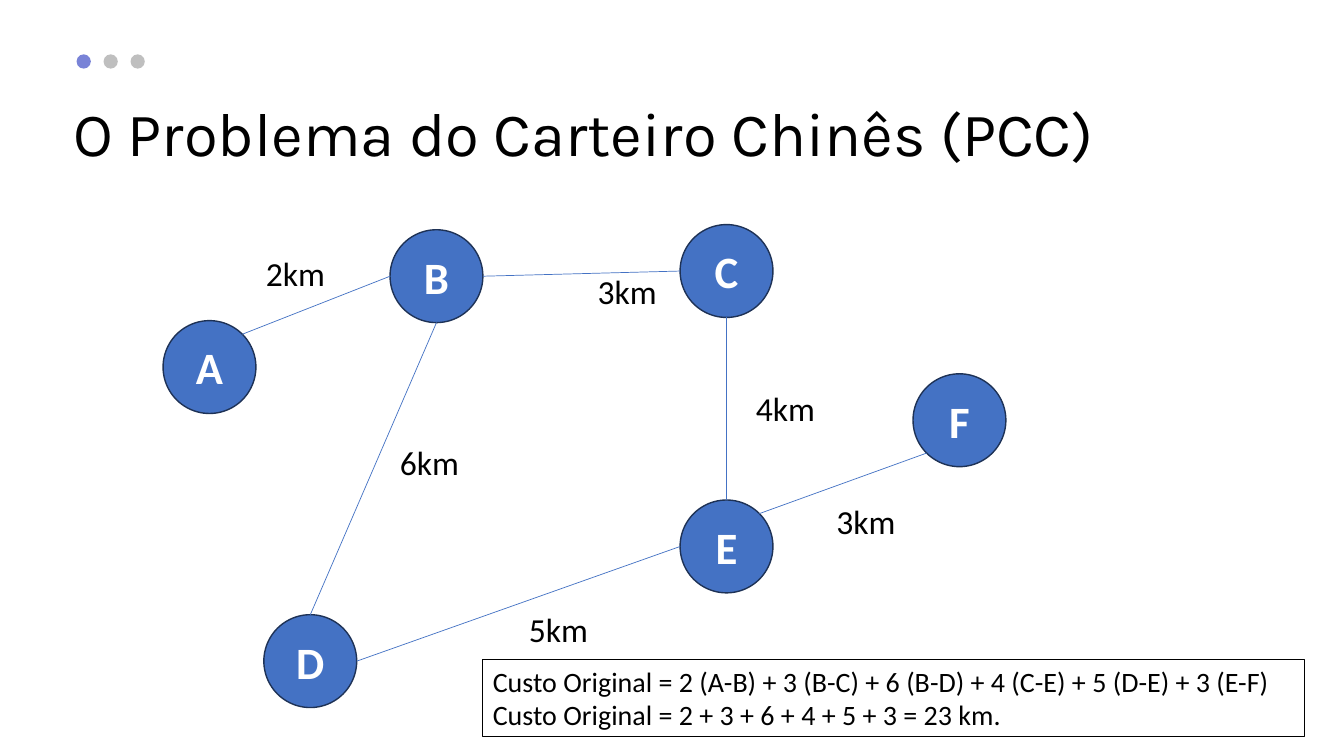
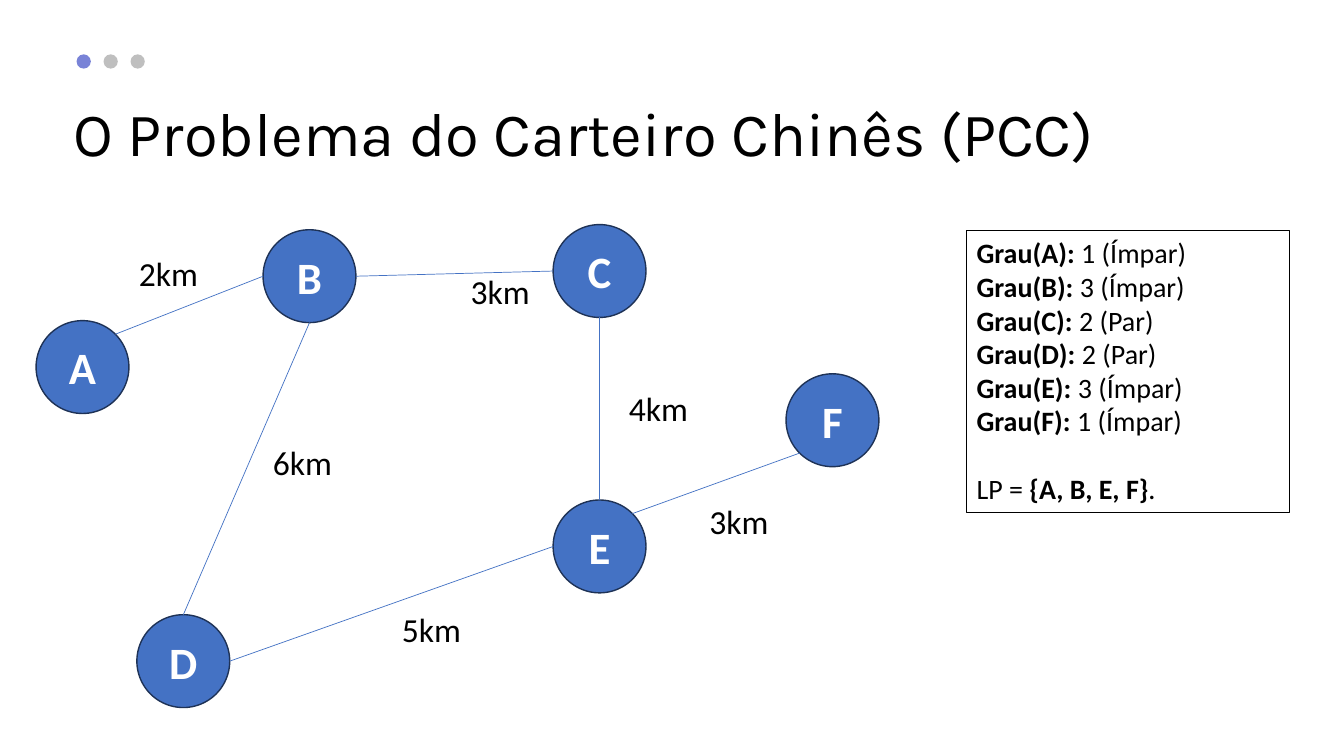
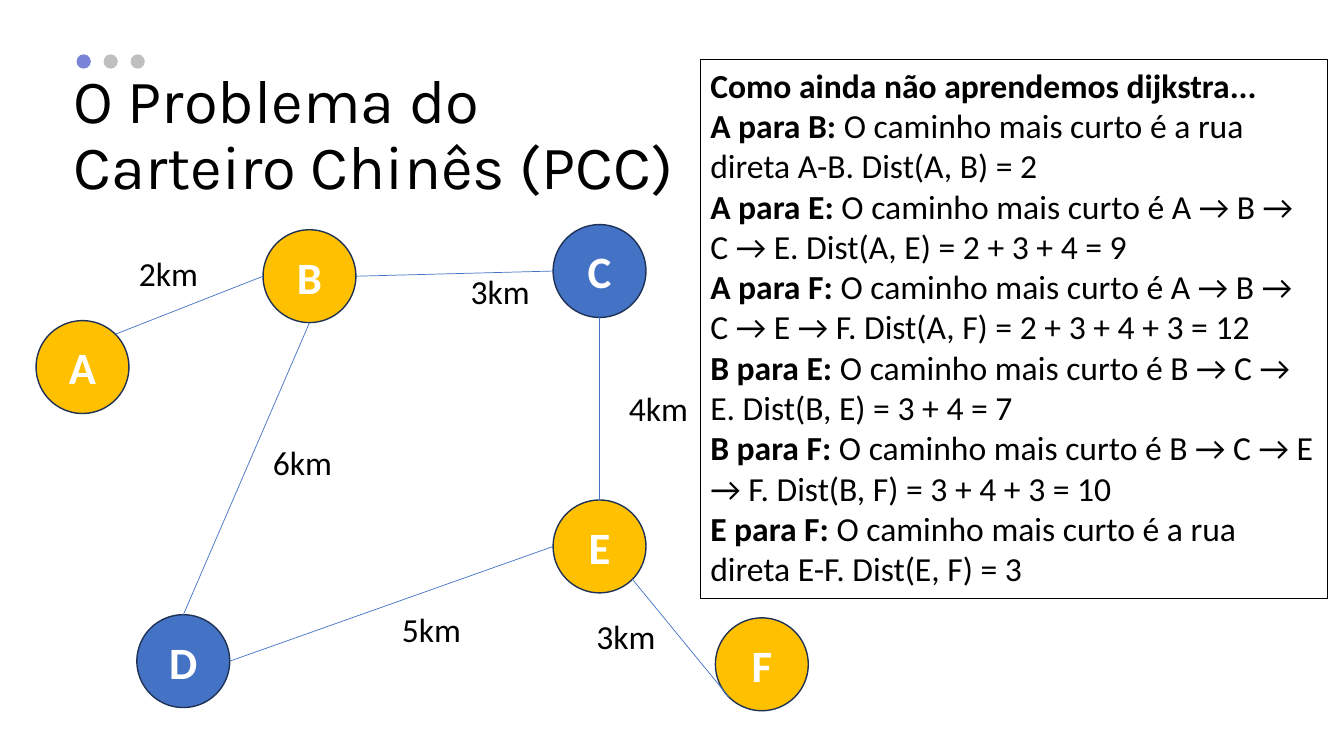
from dataclasses import dataclass
from math import cos, radians, sin

from lxml.etree import SubElement
from pptx import Presentation
from pptx.dml.color import RGBColor
from pptx.enum.shapes import MSO_CONNECTOR, MSO_SHAPE
from pptx.enum.text import MSO_ANCHOR, MSO_AUTO_SIZE, PP_ALIGN
from pptx.oxml.ns import qn
from pptx.util import Cm, Pt


@dataclass(frozen=True)
class Theme:
    black: str = "000000"
    white: str = "FFFFFF"
    blue: str = "4472C4"
    navy: str = "1E3256"
    gold: str = "FFC000"
    lilac: str = "7983D7"
    gray: str = "BFBFBF"
    head: str = "Karla"
    body: str = "Calibri"
    other: str = "Lato"
    title: int = 44
    node: int = 32
    large: int = 24
    small: int = 20


THEME = Theme()
TITLE = "O Problema do Carteiro Chinês (PCC)"
NODE = 2.34
SPOTS = {
    "A": (0.91, 8.08),
    "B": (6.63, 5.79),
    "C": (13.94, 5.66),
    "D": (3.45, 15.49),
    "E": (13.94, 12.6),
    "F": (19.81, 9.42),
}
ANGLES = {"e": 0, "se": 45, "s": 90, "sw": 135, "w": 180, "n": 270, "ne": 315}
EDGES = {
    "AB": ("ne", "w", "2km", 3.25, 6.25),
    "CB": ("w", "e", "3km", 11.61, 6.71),
    "DB": ("n", "s", "6km", 6.63, 11),
    "EC": ("n", "s", "4km", 15.6, 9.65),
    "DE": ("e", "w", "5km", 9.88, 15.21),
    "EF": ("ne", "sw", "3km", 17.63, 12.5),
}


def color(code):
    return RGBColor.from_string(code)


def add_run(para, text, size, face=THEME.body, ink=THEME.black, bold=False):
    run = para.add_run()
    run.text = text
    font = run.font
    font.size, font.name, font.bold = Pt(size), face, bold
    font.color.rgb = color(ink)


def write(frame, lines, align=PP_ALIGN.LEFT, anchor=MSO_ANCHOR.TOP, wrap=True,
          fit=MSO_AUTO_SIZE.NONE, lead=None, bold=False, **style):
    frame.word_wrap = wrap
    frame.auto_size = fit
    frame.vertical_anchor = anchor
    for row, line in enumerate(lines):
        para = frame.add_paragraph() if row else frame.paragraphs[0]
        para.alignment = align
        para.line_spacing = lead
        for turn, part in enumerate(line.split("*")):
            if part:
                add_run(para, part, bold=bold or turn % 2 == 1, **style)
    return frame


class Deck:
    def __init__(self, theme):
        self.theme = theme
        self.show = Presentation()
        self.show.slide_width, self.show.slide_height = Cm(33.87), Cm(19.05)
        self.slide = None

    def page(self, text, width=29.21):
        theme = self.theme
        self.slide = self.show.slides.add_slide(self.show.slide_layouts[5])
        title = self.slide.shapes.title
        title.left, title.top = Cm(1.6), Cm(1.6)
        title.width, title.height = Cm(width), Cm(3.68)
        write(title.text_frame, [text], anchor=MSO_ANCHOR.MIDDLE, lead=0.9,
              size=theme.title, face=theme.head)
        for step, fill in enumerate((theme.lilac, theme.gray, theme.gray)):
            self.shape(MSO_SHAPE.OVAL, 1.93 + 0.68 * step, 1.37, 0.36, 0.36, fill)

    def shape(self, kind, left, top, width, height, fill=None, edge=None, weight=1):
        shape = self.slide.shapes.add_shape(
            kind, Cm(left), Cm(top), Cm(width), Cm(height))
        shape.shadow.inherit = False
        if fill:
            shape.fill.solid()
            shape.fill.fore_color.rgb = color(fill)
        else:
            shape.fill.background()
        if edge:
            shape.line.color.rgb = color(edge)
            shape.line.width = Pt(weight)
        else:
            shape.line.fill.background()
        return shape

    def node(self, name, left, top, fill):
        theme = self.theme
        shape = self.shape(MSO_SHAPE.OVAL, left, top, NODE, NODE, fill, theme.navy)
        write(shape.text_frame, [name], align=PP_ALIGN.CENTER,
              anchor=MSO_ANCHOR.MIDDLE, size=theme.node, ink=theme.white, bold=True)

    def line(self, start, end):
        points = [Cm(value) for value in (*start, *end)]
        line = self.slide.shapes.add_connector(MSO_CONNECTOR.STRAIGHT, *points)
        line.line.color.rgb = color(self.theme.blue)
        line.line.width = Pt(0.5)
        SubElement(line.element.spPr, qn("a:effectLst"))

    def label(self, text, left, top):
        box = self.slide.shapes.add_textbox(Cm(left), Cm(top), Cm(2.01), Cm(1.27))
        write(box.text_frame, [text], wrap=False,
              fit=MSO_AUTO_SIZE.SHAPE_TO_FIT_TEXT, size=self.theme.large)

    def panel(self, lines, left, top, width, height, size, fill=None):
        box = self.shape(MSO_SHAPE.RECTANGLE, left, top, width, height,
                         fill, self.theme.black, 0.75)
        return write(box.text_frame, lines,
                     fit=MSO_AUTO_SIZE.SHAPE_TO_FIT_TEXT, size=size)

    def graph(self, shift=0, spots=SPOTS, edges=EDGES, gold=""):
        def point(name, side):
            left, top = spots[name]
            turn, half = radians(ANGLES[side]), NODE / 2
            return left + shift + half * (1 + cos(turn)), top + half * (1 + sin(turn))

        for name, (left, top) in spots.items():
            fill = self.theme.gold if name in gold else self.theme.blue
            self.node(name, left + shift, top, fill)
        for (start, end), (out, into, text, left, top) in edges.items():
            self.line(point(start, out), point(end, into))
            self.label(text, left + shift, top)


def cost(deck):
    deck.page(TITLE)
    deck.graph(shift=3.2)
    deck.panel([
        "Custo Original = 2 (A-B) + 3 (B-C) + 6 (B-D) + 4 (C-E) + 5 (D-E) + 3 (E-F)",
        "Custo Original = 2 + 3 + 6 + 4 + 5 + 3 = 23 km.",
    ], 12.17, 16.61, 20.7, 1.96, THEME.small, THEME.white)


def degrees(deck):
    deck.page(TITLE)
    deck.graph()
    counts = {"A": 1, "B": 3, "C": 2, "D": 2, "E": 3, "F": 1}
    lines = [f"*Grau({name}):* {count} ({'Ímpar' if count % 2 else 'Par'})"
             for name, count in counts.items()]
    frame = deck.panel(lines + ["LP = *{A, B, E, F}*"],
                       24.36, 5.82, 8.15, 7.09, THEME.small, THEME.white)
    last = frame.paragraphs[-1]
    last.space_before = Pt(24)
    add_run(last, ".", THEME.small, face=THEME.other)


def paths(deck):
    deck.page(TITLE, width=15.8)
    deck.graph(spots={**SPOTS, "F": (18.03, 15.57)},
               edges={**EDGES, "EF": ("se", "sw", "3km", 14.78, 15.39)},
               gold="ABEF")
    routes = [
        ("A", "B", "a rua direta A-B", "2"),
        ("A", "E", "A → B → C → E", "2 + 3 + 4 = 9"),
        ("A", "F", "A → B → C → E → F", "2 + 3 + 4 + 3 = 12"),
        ("B", "E", "B → C → E", "3 + 4 = 7"),
        ("B", "F", "B → C → E → F", "3 + 4 + 3 = 10"),
        ("E", "F", "a rua direta E-F", "3"),
    ]
    lines = [f"*{start} para {end}:* O caminho mais curto é {route}. "
             f"Dist({start}, {end}) = {total}"
             for start, end, route, total in routes]
    deck.panel(["*Como ainda não aprendemos dijkstra...*"] + lines,
               17.65, 1.5, 15.8, 13.59, THEME.large)


def main():
    deck = Deck(THEME)
    for build in (cost, degrees, paths):
        build(deck)
    deck.show.save("out.pptx")


if __name__ == "__main__":
    main()
